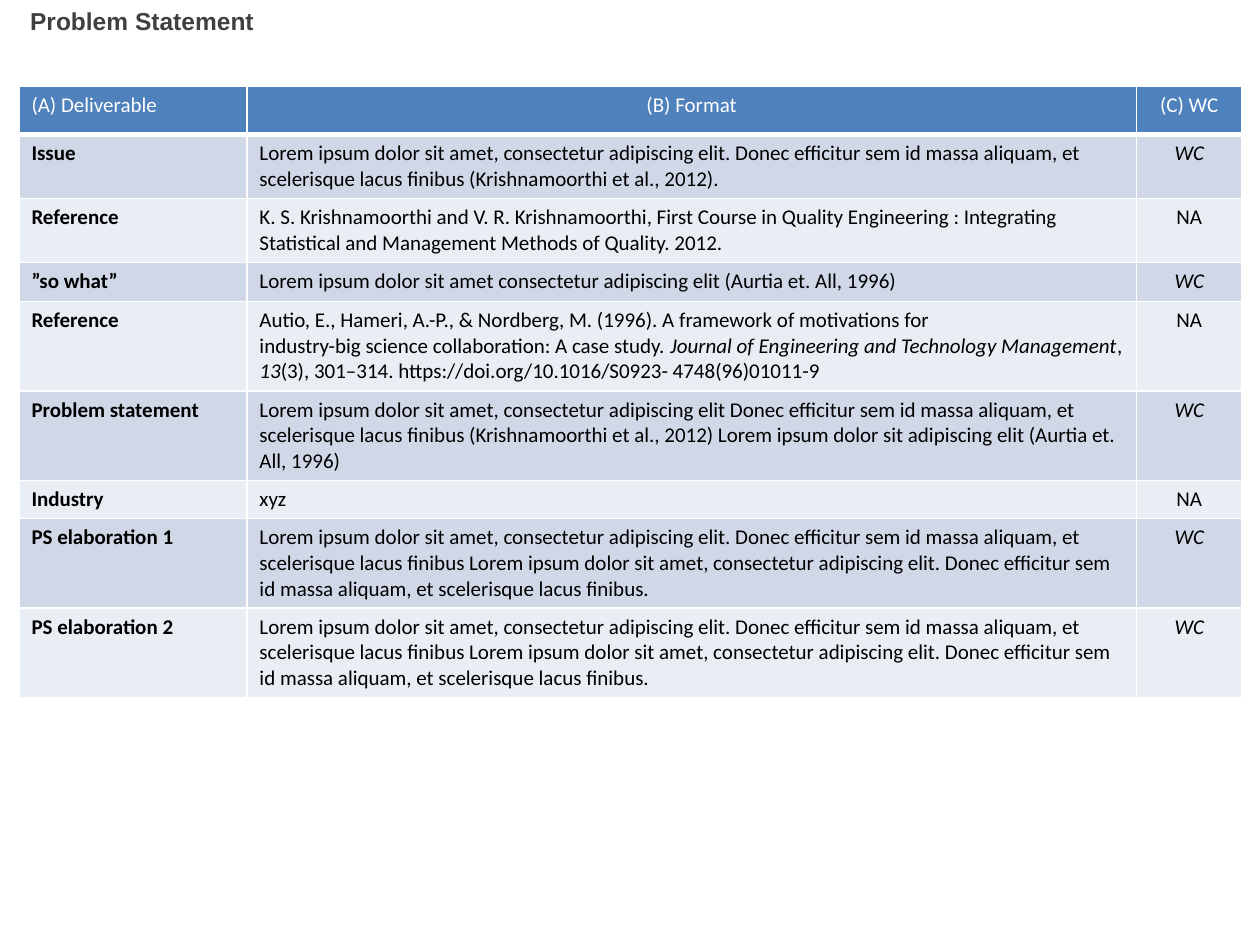
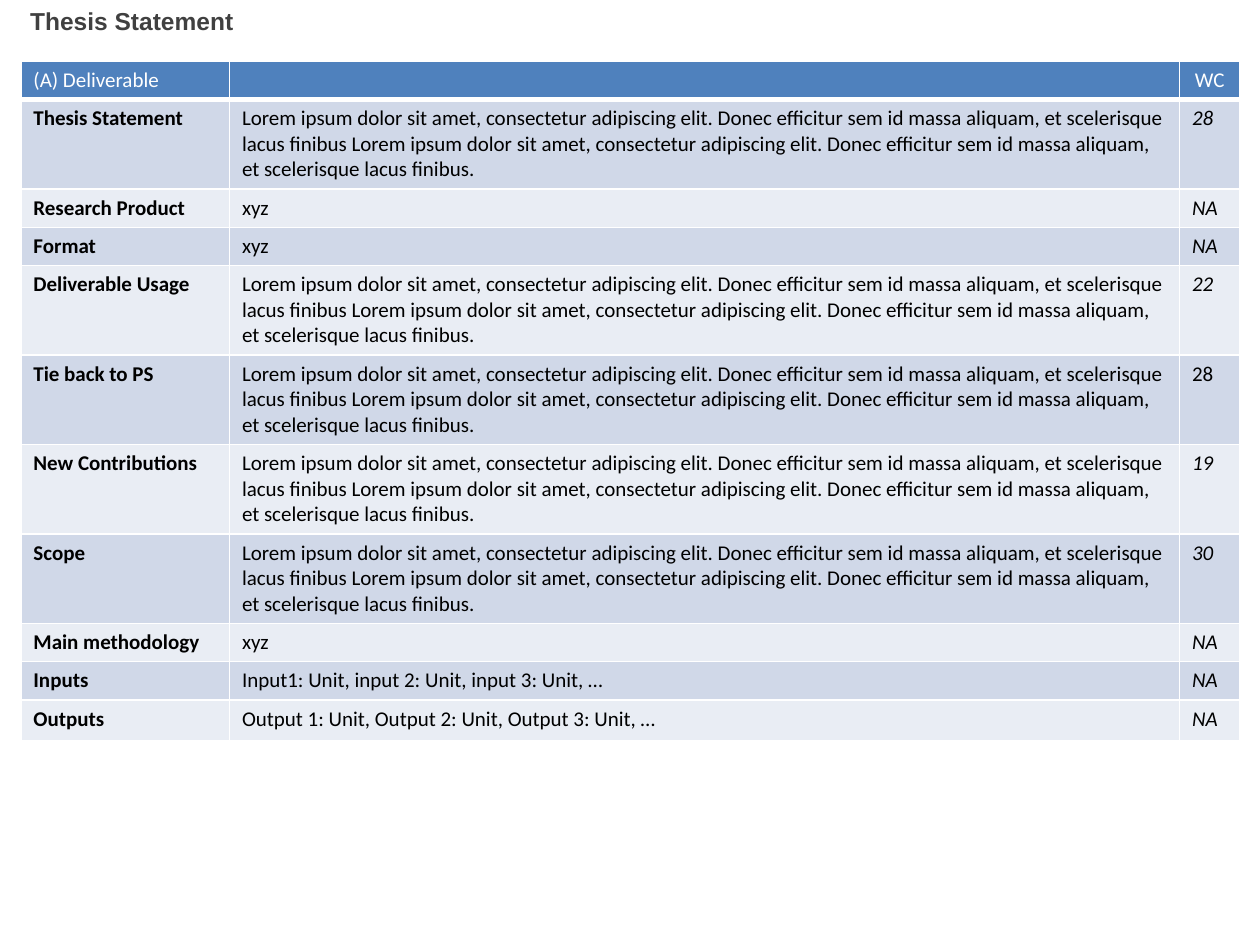
from dataclasses import dataclass
from typing import NamedTuple

from lxml.etree import SubElement
from pptx import Presentation
from pptx.dml.color import RGBColor
from pptx.enum.text import MSO_ANCHOR as Anchor, MSO_AUTO_SIZE as AutoSize, PP_ALIGN as Align
from pptx.oxml.ns import qn
from pptx.util import Pt


@dataclass(frozen=True)
class Theme:
    """Colours, fonts, type sizes and line widths shared by the slides."""
    title_color: str = "404040"
    header_fill: str = "4F81BD"
    header_text: str = "FFFFFF"
    body_text: str = "000000"
    bands: tuple[str, str] = ("D0D8E8", "E9EDF4")
    border: str = "FFFFFF"
    title_font: str = "Arial"
    table_font: str = "Calibri"
    title_size: float = 14
    table_size: float = 12
    line_height: float = 14.65
    row_padding: float = 7.2
    thin: float = 1
    thick: float = 3


THEME = Theme()


class Span(NamedTuple):
    """A stretch of text inside a paragraph that mixes upright and italic."""
    text: str
    italic: bool = False


@dataclass(frozen=True)
class Deliverable:
    """One table row: label, content paragraphs, word count and line count."""
    label: str
    content: str | list[list[Span]]
    count: str
    lines: int = 1
    count_italic: bool = True
    height: float | None = None


@dataclass(frozen=True)
class Statement:
    """One slide: its title and its table of deliverables."""
    title: str
    left: float
    top: float
    columns: tuple[float, float, float]
    headings: tuple[str, str, str]
    header_height: float
    count_align: Align
    deliverables: list[Deliverable]


SENTENCE = ("Lorem ipsum dolor sit amet, consectetur adipiscing elit. Donec efficitur "
            "sem id massa aliquam, et scelerisque lacus finibus")
ELABORATION = f"{SENTENCE} {SENTENCE}."
AUTIO_REFERENCE = [
    [Span("Autio, E., Hameri, A.-P., & Nordberg, M. (1996). A framework of motivations for")],
    [Span("industry-big science collaboration: A case study. "),
     Span("Journal of Engineering and Technology Management", True),
     Span(", "),
     Span("13", True),
     Span("(3), 301–314. https://doi.org/10.1016/S0923- 4748(96)01011-9")],
]

STATEMENTS = [
    Statement(
        "Problem Statement", 10.8, 49, (130.3, 508.3, 60.5),
        ("(A) Deliverable", "(B) Format", "(C) WC"), 28, Align.CENTER,
        [
            Deliverable("Issue", f"{SENTENCE} (Krishnamoorthi et al., 2012).", "WC", 2),
            Deliverable("Reference",
                        "K. S. Krishnamoorthi and V. R. Krishnamoorthi, First Course in Quality "
                        "Engineering : Integrating Statistical and Management Methods of "
                        "Quality. 2012.", "NA", 2, False),
            Deliverable("”so what”",
                        "Lorem ipsum dolor sit amet consectetur adipiscing elit "
                        "(Aurtia et. All, 1996)", "WC", height=22.3),
            Deliverable("Reference", AUTIO_REFERENCE, "NA", 3, False),
            Deliverable("Problem statement",
                        "Lorem ipsum dolor sit amet, consectetur adipiscing elit Donec efficitur "
                        "sem id massa aliquam, et scelerisque lacus finibus (Krishnamoorthi et "
                        "al., 2012) Lorem ipsum dolor sit adipiscing elit "
                        "(Aurtia et. All, 1996)", "WC", 3),
            Deliverable("Industry", "xyz", "NA", count_italic=False),
            Deliverable("PS elaboration 1", ELABORATION, "WC", 3),
            Deliverable("PS elaboration 2", ELABORATION, "WC", 3),
        ]),
    Statement(
        "Thesis Statement", 11.9, 35, (119.2, 542.9, 34.6),
        ("(A) Deliverable", "", "WC"), 21.85, Align.LEFT,
        [
            Deliverable("Thesis Statement", ELABORATION, "28", 3),
            Deliverable("Research Product", "xyz", "NA"),
            Deliverable("Format", "xyz", "NA"),
            Deliverable("Deliverable Usage", ELABORATION, "22", 3),
            Deliverable("Tie back to PS", ELABORATION, "28", 3, False),
            Deliverable("New Contributions", ELABORATION, "19", 3),
            Deliverable("Scope", ELABORATION, "30", 3),
            Deliverable("Main methodology", "xyz", "NA"),
            Deliverable("Inputs", "Input1: Unit, input 2: Unit, input 3: Unit, …", "NA"),
            Deliverable("Outputs", "Output 1: Unit, Output 2: Unit, Output 3: Unit, …", "NA",
                        height=23.5),
        ]),
]


def style_font(font, name: str, size: float, color: str, bold: bool = False) -> None:
    """Set the typeface, size, colour and weight of a font."""
    font.name = name
    font.size = Pt(size)
    font.bold = bold
    font.color.rgb = RGBColor.from_string(color)


def paint_cell(cell, fill: str, bottom: float = THEME.thin) -> None:
    """Give a cell its four borders and its fill."""
    properties = cell._tc.get_or_add_tcPr()
    widths = {"a:lnL": THEME.thin, "a:lnR": THEME.thin, "a:lnT": THEME.thin, "a:lnB": bottom}
    for edge, width in widths.items():
        line = SubElement(properties, qn(edge), w=str(Pt(width)))
        SubElement(SubElement(line, qn("a:solidFill")), qn("a:srgbClr"), val=THEME.border)
    cell.fill.solid()
    cell.fill.fore_color.rgb = RGBColor.from_string(fill)


def write_cell(cell, content: str | list[list[Span]], color: str, align: Align = Align.LEFT,
               bold: bool = False, italic: bool = False) -> None:
    """Write plain text or paragraphs of spans into a cell."""
    paragraphs = [[Span(content, italic)]] if isinstance(content, str) else content
    frame = cell.text_frame
    for index, spans in enumerate(paragraphs):
        paragraph = frame.add_paragraph() if index else frame.paragraphs[0]
        paragraph.alignment = align
        style_font(paragraph.font, THEME.table_font, THEME.table_size, color, bold)
        mixed = len(spans) > 1
        if not mixed:
            paragraph.font.italic = spans[0].italic
        for span in spans:
            if span.text:
                run = paragraph.add_run()
                run.text = span.text
                if mixed:
                    run.font.italic = span.italic
            else:
                SubElement(paragraph._p, qn("a:endParaRPr"), sz=str(round(THEME.table_size * 100)))


def add_title(slide, text: str) -> None:
    """Place and format the slide title."""
    title = slide.shapes.title
    title.left, title.top, title.width, title.height = Pt(10), Pt(0), Pt(610.5), Pt(49)
    frame = title.text_frame
    frame.text = text
    frame.auto_size = AutoSize.NONE
    frame.vertical_anchor = Anchor.TOP
    paragraph = frame.paragraphs[0]
    paragraph.alignment = Align.LEFT
    style_font(paragraph.font, THEME.title_font, THEME.title_size, THEME.title_color, True)


def row_height(deliverable: Deliverable) -> float:
    """Return the set height of a row, or the one its lines need."""
    return deliverable.height or deliverable.lines * THEME.line_height + THEME.row_padding


def add_deliverables(slide, statement: Statement) -> None:
    """Draw the table of deliverables."""
    heights = [statement.header_height, *map(row_height, statement.deliverables)]
    table = slide.shapes.add_table(
        len(heights), len(statement.columns), Pt(statement.left), Pt(statement.top),
        Pt(sum(statement.columns)), Pt(sum(heights))).table
    table.first_row = table.horz_banding = False
    for column, width in zip(table.columns, statement.columns):
        column.width = Pt(width)
    for row, height in zip(table.rows, heights):
        row.height = Pt(height)

    heading_aligns = (Align.LEFT, Align.CENTER, Align.CENTER)
    for column, (heading, align) in enumerate(zip(statement.headings, heading_aligns)):
        cell = table.cell(0, column)
        paint_cell(cell, THEME.header_fill, THEME.thick)
        write_cell(cell, heading, THEME.header_text, align)

    for index, deliverable in enumerate(statement.deliverables):
        label, content, count = table.rows[index + 1].cells
        for cell in (label, content, count):
            paint_cell(cell, THEME.bands[index % 2])
        write_cell(label, deliverable.label, THEME.body_text, bold=True)
        write_cell(content, deliverable.content, THEME.body_text)
        write_cell(count, deliverable.count, THEME.body_text, statement.count_align,
                   italic=deliverable.count_italic)


def main() -> None:
    """Build the slides and save the presentation."""
    presentation = Presentation()
    presentation.slide_width, presentation.slide_height = Pt(720), Pt(540)
    title_only = presentation.slide_layouts.get_by_name("Title Only")
    for statement in STATEMENTS:
        slide = presentation.slides.add_slide(title_only)
        add_title(slide, statement.title)
        add_deliverables(slide, statement)
    presentation.save("out.pptx")


if __name__ == "__main__":
    main()
